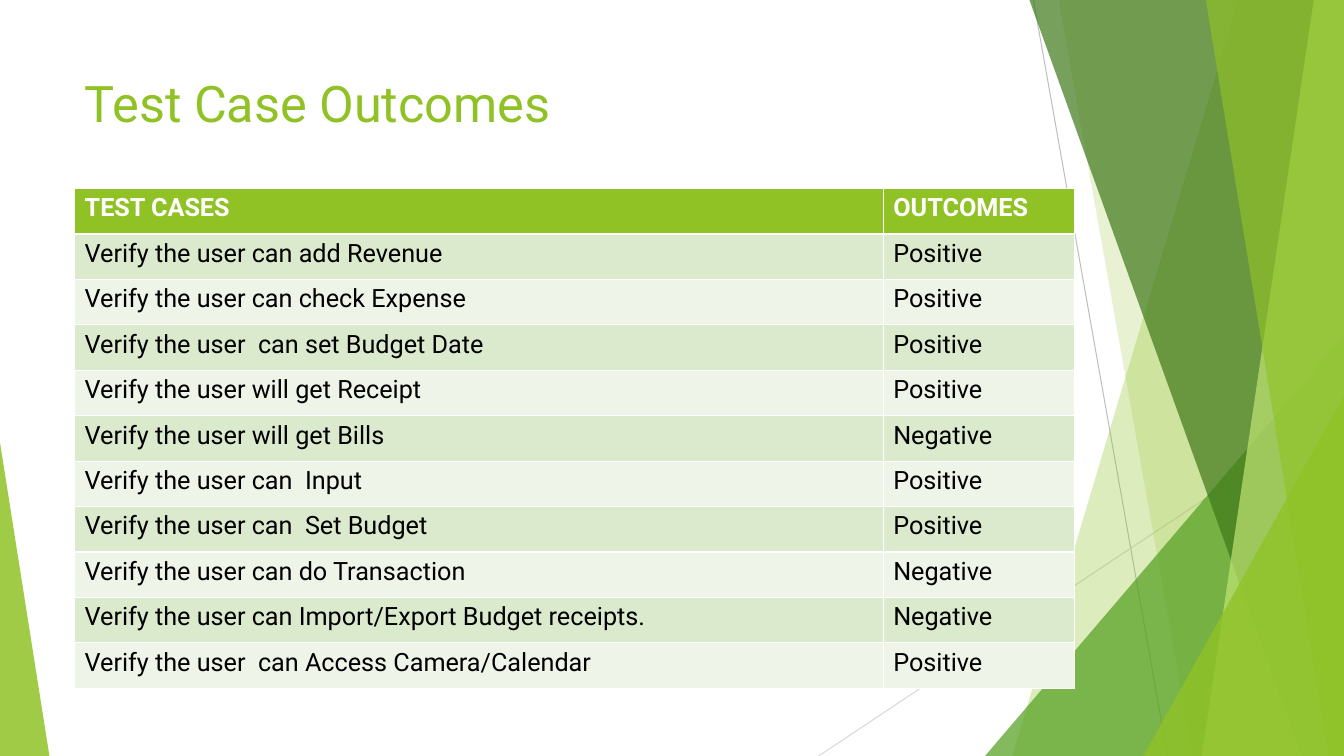
"""Build the test case outcomes slide."""
import pptx
import pptx.dml.color
import pptx.enum.shapes
import pptx.enum.text
import pptx.oxml
import pptx.oxml.ns
import pptx.util

Inches = pptx.util.Inches
GREEN, FONT = "90C226", "Roboto"
WIDTH, HEIGHT = 13.33, 7.5
LINES = [((10.25, 0), (11.58, 7.5), "BFBFBF"), ((13.33, 4.03), (8.12, 7.5), "D9D9D9")]
BACK_BANDS = [(12.28, 10.04, GREEN, 30), (10.5, 11.83, GREEN, 20)]
FRONT_BANDS = [(10.21, 12.91, "3F7819", 70), (13.03, 11.92, "C0E474", 70), (11.96, 13.18, GREEN, 65)]
OUTCOMES = [
    ("TEST CASES", "OUTCOMES"),
    ("Verify the user can add Revenue", "Positive"),
    ("Verify the user can check Expense", "Positive"),
    ("Verify the user  can set Budget Date", "Positive"),
    ("Verify the user will get Receipt", "Positive"),
    ("Verify the user will get Bills", "Negative"),
    ("Verify the user can  Input", "Positive"),
    ("Verify the user can  Set Budget", "Positive"),
    ("Verify the user can do Transaction", "Negative"),
    ("Verify the user can Import/Export Budget receipts.", "Negative"),
    ("Verify the user  can Access Camera/Calendar", "Positive"),
]


def paint(color_owner, color):
    """Set the colour of a solid fill, line or font from a hex string."""
    if hasattr(color_owner, "solid"):
        color_owner.solid()
    target = getattr(color_owner, "fore_color", None) or color_owner.color
    target.rgb = pptx.dml.color.RGBColor.from_string(color)


def style_font(para, size, color, bold=False):
    """Format a whole paragraph."""
    para.font.name = FONT
    para.font.size = pptx.util.Pt(size)
    para.font.bold = bold
    paint(para.font, color)


def finish_facet(shape, color, opacity):
    """Give a facet a translucent fill without outline or shadow."""
    shape.shadow.inherit = False
    shape.line.fill.background()
    paint(shape.fill, color)
    tint = shape.element.spPr.find(".//" + pptx.oxml.ns.qn("a:srgbClr"))
    alpha = pptx.oxml.ns.qn("a:alpha")
    tint.append(tint.makeelement(alpha, {"val": str(opacity * 1000)}))


def add_thin_line(page, box, start, end, color):
    """Draw a hairline between two points of the box."""
    left, top = box[:2]
    line = page.shapes.add_connector(
        pptx.enum.shapes.MSO_CONNECTOR.STRAIGHT,
        Inches(left + start[0]), Inches(top + start[1]),
        Inches(left + end[0]), Inches(top + end[1]))
    line.line.width = pptx.util.Pt(0.75)
    paint(line.line, color)
    properties = line.element.spPr
    properties.append(properties.makeelement(pptx.oxml.ns.qn("a:effectLst"), {}))


def add_band(page, box, top_x, bottom_x, color, opacity):
    """Draw a slanted band that reaches the right edge of the box."""
    left, top, width, height = box
    corners = [(width, 0), (width, height), (bottom_x, height)]
    builder = page.shapes.build_freeform(Inches(left + top_x), Inches(top))
    builder.add_line_segments([(Inches(left + x), Inches(top + y)) for x, y in corners])
    finish_facet(builder.convert_to_shape(), color, opacity)


def add_triangle(page, box, apex, color, opacity):
    """Fill the box with a right triangle whose apex is at 0 or 1."""
    shape = page.shapes.add_shape(
        pptx.enum.shapes.MSO_SHAPE.ISOSCELES_TRIANGLE, *map(Inches, box))
    shape.adjustments[0] = apex
    finish_facet(shape, color, opacity)


def add_facets(page, box):
    """Layer the green decoration along the sides of the box."""
    left, top, width, height = box

    def add_corner(size, apex, color, opacity):
        """Place a triangle in the lower corner under its apex."""
        place = (left + apex * (width - size[0]), top + height - size[1], *size)
        add_triangle(page, place, apex, color, opacity)

    for start, end, color in LINES:
        add_thin_line(page, box, start, end, color)
    for band in BACK_BANDS:
        add_band(page, box, *band)
    add_corner((3.56, 4.17), 1, "54A021", 72)
    for band in FRONT_BANDS:
        add_band(page, box, *band)
    add_corner((1.99, 3.57), 1, GREEN, 80)
    add_corner((0.49, 3.11), 0, GREEN, 85)


def add_title(page, box, text):
    """Fill the title placeholder and bring it in front of the facets."""
    title = page.shapes.title
    title.left, title.top, title.width, title.height = map(Inches, box)
    frame = title.text_frame
    frame.text = text
    frame.word_wrap = True
    frame.auto_size = pptx.enum.text.MSO_AUTO_SIZE.NONE
    frame.vertical_anchor = pptx.enum.text.MSO_ANCHOR.TOP
    para = frame.paragraphs[0]
    para.alignment = pptx.enum.text.PP_ALIGN.LEFT
    style_font(para, 36, GREEN)
    page.shapes.element.append(title.element)


def add_outcomes(page, box):
    """Add the table of test cases with a header and banded rows."""
    table = page.shapes.add_table(len(OUTCOMES), 2, *map(Inches, box)).table
    outcome_width = 1.9
    table.columns[0].width = Inches(box[2] - outcome_width)
    table.columns[1].width = Inches(outcome_width)
    for row, texts in enumerate(OUTCOMES):
        header = row == 0
        fill = GREEN if header else ("EEF4E8", "DBE9CD")[row % 2]
        for column, text in enumerate(texts):
            cell = table.cell(row, column)
            cell.text = text
            paint(cell.fill, fill)
            style_font(cell.text_frame.paragraphs[0], 18, "FFFFFF" if header else "000000", header)


def main():
    """Build and save the deck."""
    deck = pptx.Presentation()
    deck.slide_width, deck.slide_height = Inches(WIDTH), Inches(HEIGHT)
    page = deck.slides.add_slide(deck.slide_layouts.get_by_name("Title Only"))
    add_facets(page, (0, 0, WIDTH, HEIGHT))
    add_title(page, (0.74, 0.67, 9.4, 1.44), "Test Case Outcomes")
    add_outcomes(page, (0.74, 1.87, 9.92, 4.96))
    deck.save("out.pptx")


if __name__ == "__main__":
    main()
